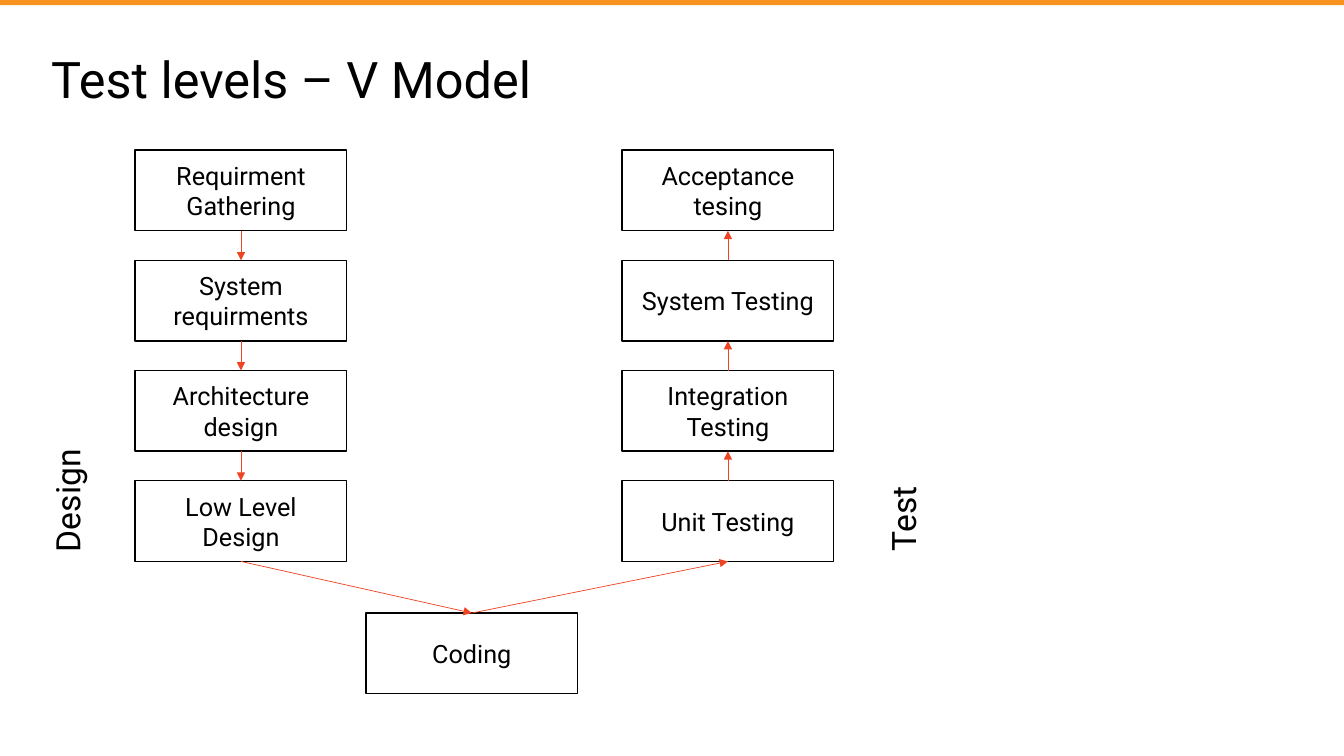
"""Build the V model slide: design steps down, coding, test steps up."""
from dataclasses import dataclass
from itertools import pairwise

from lxml import etree
from pptx import Presentation
from pptx.dml.color import RGBColor
from pptx.enum.shapes import MSO_CONNECTOR, MSO_SHAPE
from pptx.enum.text import MSO_ANCHOR, PP_ALIGN
from pptx.oxml.ns import qn
from pptx.shapes.autoshape import Shape
from pptx.slide import Slide
from pptx.util import Inches, Pt

RECTANGLE, STRAIGHT = MSO_SHAPE.RECTANGLE, MSO_CONNECTOR.STRAIGHT
MIDDLE, TOP_ANCHOR = MSO_ANCHOR.MIDDLE, MSO_ANCHOR.TOP
LEFT, CENTER = PP_ALIGN.LEFT, PP_ALIGN.CENTER
TOP_SITE, BOTTOM_SITE = 0, 2

COLOURS = {"text": "000000", "paper": "FFFFFF", "bar": "F7931E", "arrow": "EF4423"}
FONT = "Roboto"
WIDTH, HEIGHT = 13.33, 7.5
BOX_WIDTH, BOX_HEIGHT = 2.1, 0.8
COLUMNS = {"design": 1.34, "coding": 3.63, "test": 6.17}
FIRST_ROW, ROW_PITCH = 1.49, 3.28 / 3
CODING_ROW = 4.2
DESIGN_STEPS = ("Requirment Gathering", "System requirments",
                "Architecture design", "Low Level Design")
TEST_STEPS = ("Acceptance tesing", "System Testing",
              "Integration Testing", "Unit Testing")


@dataclass(frozen=True)
class Stage:
    """A box of the V, with the sides where arrows enter and leave."""
    text: str
    column: str
    row: float
    entry: int
    exit: int


@dataclass(frozen=True)
class Label:
    """A free text with its place in inches."""
    text: str
    left: float
    top: float
    width: float
    height: float
    size: int
    anchor: MSO_ANCHOR = TOP_ANCHOR
    rotation: int = 0
    spacing: float = 1.0


LABELS = (
    Label("Test levels – V Model", 0.41, 0.4, 12.52, 0.83, 36, MIDDLE, spacing=0.9),
    Label("Design", -0.32, 4.34, 1.97, 0.5, 24, rotation=270),
    Label("Test", 7.97, 4.33, 1.97, 0.5, 24, rotation=270),
)


def colour(name: str) -> RGBColor:
    """Look up a palette colour."""
    return RGBColor.from_string(COLOURS[name])


def write(box: Shape, text: str, size: int, anchor: MSO_ANCHOR,
          align: PP_ALIGN, spacing: float = 1.0) -> None:
    """Put one styled paragraph into a shape."""
    frame = box.text_frame
    frame.word_wrap = True
    frame.vertical_anchor = anchor
    para = frame.paragraphs[0]
    para.alignment = align
    para.line_spacing = spacing
    span = para.add_run()
    span.text = text
    span.font.name = FONT
    span.font.size = Pt(size)
    span.font.color.rgb = colour("text")


def add_rectangle(page: Slide, left: float, top: float, width: float,
                  height: float, fill: str) -> Shape:
    """Add a flat rectangle without an outline."""
    box = page.shapes.add_shape(RECTANGLE, Inches(left), Inches(top),
                                Inches(width), Inches(height))
    box.shadow.inherit = False
    box.fill.solid()
    box.fill.fore_color.rgb = colour(fill)
    box.line.fill.background()
    return box


def add_stage(page: Slide, stage: Stage) -> Shape:
    """Add the outlined box of a stage."""
    box = add_rectangle(page, COLUMNS[stage.column], FIRST_ROW + stage.row * ROW_PITCH,
                        BOX_WIDTH, BOX_HEIGHT, "paper")
    box.line.color.rgb = colour("text")
    box.line.width = Pt(1)
    write(box, stage.text, 18, MIDDLE, CENTER)
    return box


def add_arrow(page: Slide, source: Shape, exit_site: int,
              target: Shape, entry_site: int) -> None:
    """Join two boxes with an arrow glued to their sides."""
    arrow = page.shapes.add_connector(STRAIGHT, 0, 0, 0, 0)
    arrow.begin_connect(source, exit_site)
    arrow.end_connect(target, entry_site)
    arrow.line.color.rgb = colour("arrow")
    arrow.line.width = Pt(0.5)
    etree.SubElement(arrow.line._get_or_add_ln(), qn("a:tailEnd"), type="triangle")
    etree.SubElement(arrow._element.spPr, qn("a:effectLst"))


def add_label(page: Slide, label: Label) -> None:
    """Add a free text, turned if asked."""
    box = page.shapes.add_textbox(Inches(label.left), Inches(label.top),
                                  Inches(label.width), Inches(label.height))
    box.rotation = label.rotation
    write(box, label.text, label.size, label.anchor, LEFT, label.spacing)


def v_stages() -> list[Stage]:
    """List the stages in the order the arrows visit them."""
    down = [Stage(text, "design", row, TOP_SITE, BOTTOM_SITE)
            for row, text in enumerate(DESIGN_STEPS)]
    up = [Stage(text, "test", row, BOTTOM_SITE, TOP_SITE)
          for row, text in enumerate(TEST_STEPS)]
    return [*down, Stage("Coding", "coding", CODING_ROW, TOP_SITE, TOP_SITE), *up[::-1]]


def main() -> None:
    """Build and save the deck."""
    deck = Presentation()
    deck.slide_width, deck.slide_height = Inches(WIDTH), Inches(HEIGHT)
    page = deck.slides.add_slide(deck.slide_layouts[6])
    add_rectangle(page, 0, 0, WIDTH, 0.05, "bar")
    placed = [(stage, add_stage(page, stage)) for stage in v_stages()]
    for (stage, box), (following, next_box) in pairwise(placed):
        add_arrow(page, box, stage.exit, next_box, following.entry)
    for label in LABELS:
        add_label(page, label)
    deck.save("out.pptx")


if __name__ == "__main__":
    main()
